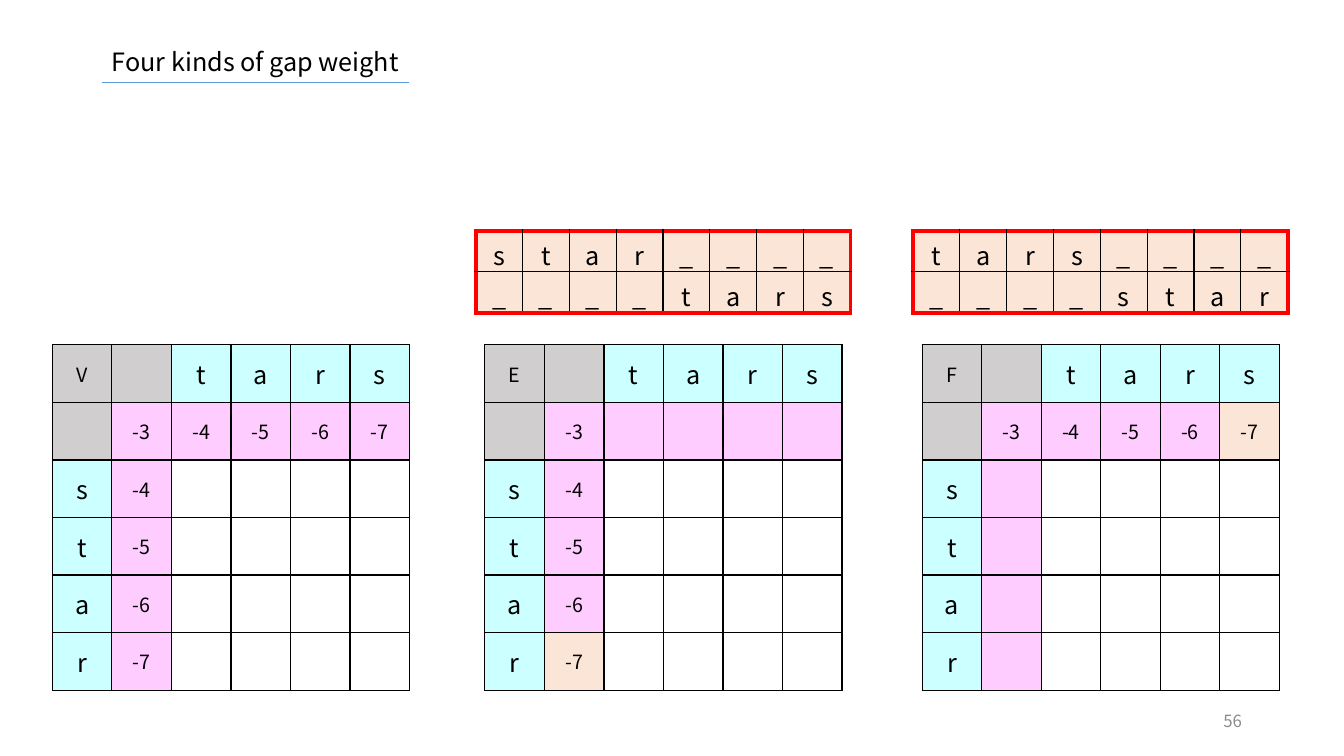
from dataclasses import dataclass

from lxml.etree import SubElement
from pptx import Presentation
from pptx.dml.color import RGBColor
from pptx.enum.shapes import MSO_CONNECTOR
from pptx.enum.text import MSO_ANCHOR, PP_ALIGN
from pptx.oxml import parse_xml
from pptx.oxml.ns import nsdecls, qn
from pptx.util import Cm, Pt


@dataclass(frozen=True)
class Theme:
    font: str = "Noto Sans CJK KR"
    black: str = "000000"
    white: str = "FFFFFF"
    gray: str = "D0CECE"
    cyan: str = "CCFFFF"
    pink: str = "FFCCFF"
    peach: str = "FBE5D6"
    red: str = "FF0000"
    blue: str = "5B9BD5"
    pale: str = "8C8C8C"
    large: int = 18
    mid: int = 14
    small: int = 12


THEME = Theme()
ACROSS = "tars"
DOWN = "star"
GAP = "_" * 4


def add_run(para, text, size, color=THEME.black):
    run = para.add_run()
    run.text = text
    run.font.name = THEME.font
    run.font.size = Pt(size)
    run.font.color.rgb = RGBColor.from_string(color)


def add_label(slide, text, box, size, color, align, anchor):
    frame = slide.shapes.add_textbox(*map(Cm, box)).text_frame
    frame.word_wrap = True
    frame.vertical_anchor = anchor
    para = frame.paragraphs[0]
    para.alignment = align
    add_run(para, text, size, color)


def add_rule(slide, left, right, top):
    rule = slide.shapes.add_connector(
        MSO_CONNECTOR.STRAIGHT, Cm(left), Cm(top), Cm(right), Cm(top))
    rule.line.color.rgb = RGBColor.from_string(THEME.blue)
    rule.line.width = Pt(0.5)
    SubElement(rule._element.spPr, qn("a:effectLst"))


def set_edges(cell, red):
    """Draw thin black edges, and thick red ones for the sides in red."""
    props = cell._tc.get_or_add_tcPr()
    for spot, side in enumerate("LRTB"):
        color, width = (THEME.red, 3) if side in red else (THEME.black, 1)
        props.insert(spot, parse_xml(
            f'<a:ln{side} {nsdecls("a")} w="{Pt(width)}"><a:solidFill>'
            f'<a:srgbClr val="{color}"/></a:solidFill></a:ln{side}>'))


def fill_cell(cell, text, size, fill, red=""):
    cell.fill.solid()
    cell.fill.fore_color.rgb = RGBColor.from_string(fill)
    cell.vertical_anchor = MSO_ANCHOR.MIDDLE
    set_edges(cell, red)
    para = cell.text_frame.paragraphs[0]
    para.alignment = PP_ALIGN.CENTER
    if text:
        add_run(para, text, size)


def add_table(slide, rows, cols, left, top, wide, high):
    table = slide.shapes.add_table(
        rows, cols, Cm(left), Cm(top), Cm(wide * cols), Cm(high * rows)).table
    for col in table.columns:
        col.width = Cm(wide)
    for row in table.rows:
        row.height = Cm(high)
    return table


def grid_cell(row, col, name, across, down):
    """Give the text, type size and fill of one cell of a weight grid."""
    if row + col == 0:
        return name, THEME.mid, THEME.gray
    if row + col == 1:
        return "", THEME.mid, THEME.gray
    if row == 0:
        return ACROSS[col - 2], THEME.large, THEME.cyan
    if col == 0:
        return DOWN[row - 2], THEME.large, THEME.cyan
    if row > 1 and col > 1:
        return "", THEME.mid, THEME.white
    shown = row == col or (across if row == 1 else down)
    last = shown and max(row, col) == 5 and across != down
    text = str(-1 - row - col) if shown else ""
    return text, THEME.mid, THEME.peach if last else THEME.pink


def add_grid(slide, left, name, across, down):
    table = add_table(slide, 6, 6, left, 8.69, 1.5, 1.45)
    for row in range(6):
        for col in range(6):
            cell = table.cell(row, col)
            cell.margin_left = cell.margin_right = Cm(0.18)
            cell.margin_top = cell.margin_bottom = Cm(0.1)
            fill_cell(cell, *grid_cell(row, col, name, across, down))


def add_strip(slide, left, lines):
    """Add an alignment of two lines inside a red frame."""
    table = add_table(slide, 2, 8, left, 5.82, 1.18, 1.03)
    for row, line in enumerate(lines):
        for col, sign in enumerate(line):
            red = "TB"[row] + {0: "L", 7: "R"}.get(col, "")
            fill_cell(table.cell(row, col), sign, THEME.large, THEME.peach, red)


def main():
    deck = Presentation()
    deck.slide_width, deck.slide_height = Cm(33.87), Cm(19.05)
    slide = deck.slides.add_slide(deck.slide_layouts[6])
    add_label(slide, "56", (23.93, 17.65, 7.62, 1.02), THEME.small,
              THEME.pale, PP_ALIGN.RIGHT, MSO_ANCHOR.MIDDLE)
    add_label(slide, "Four kinds of gap weight", (2.57, 1.04, 18.64, 1.02),
              THEME.large, THEME.black, PP_ALIGN.LEFT, MSO_ANCHOR.TOP)
    add_rule(slide, 2.57, 10.31, 2.08)
    add_grid(slide, 1.32, "V", True, True)
    add_grid(slide, 12.22, "E", False, True)
    add_grid(slide, 23.24, "F", True, False)
    add_strip(slide, 11.99, (DOWN + GAP, GAP + ACROSS))
    add_strip(slide, 23.01, (ACROSS + GAP, GAP + DOWN))
    deck.save("out.pptx")


if __name__ == "__main__":
    main()
